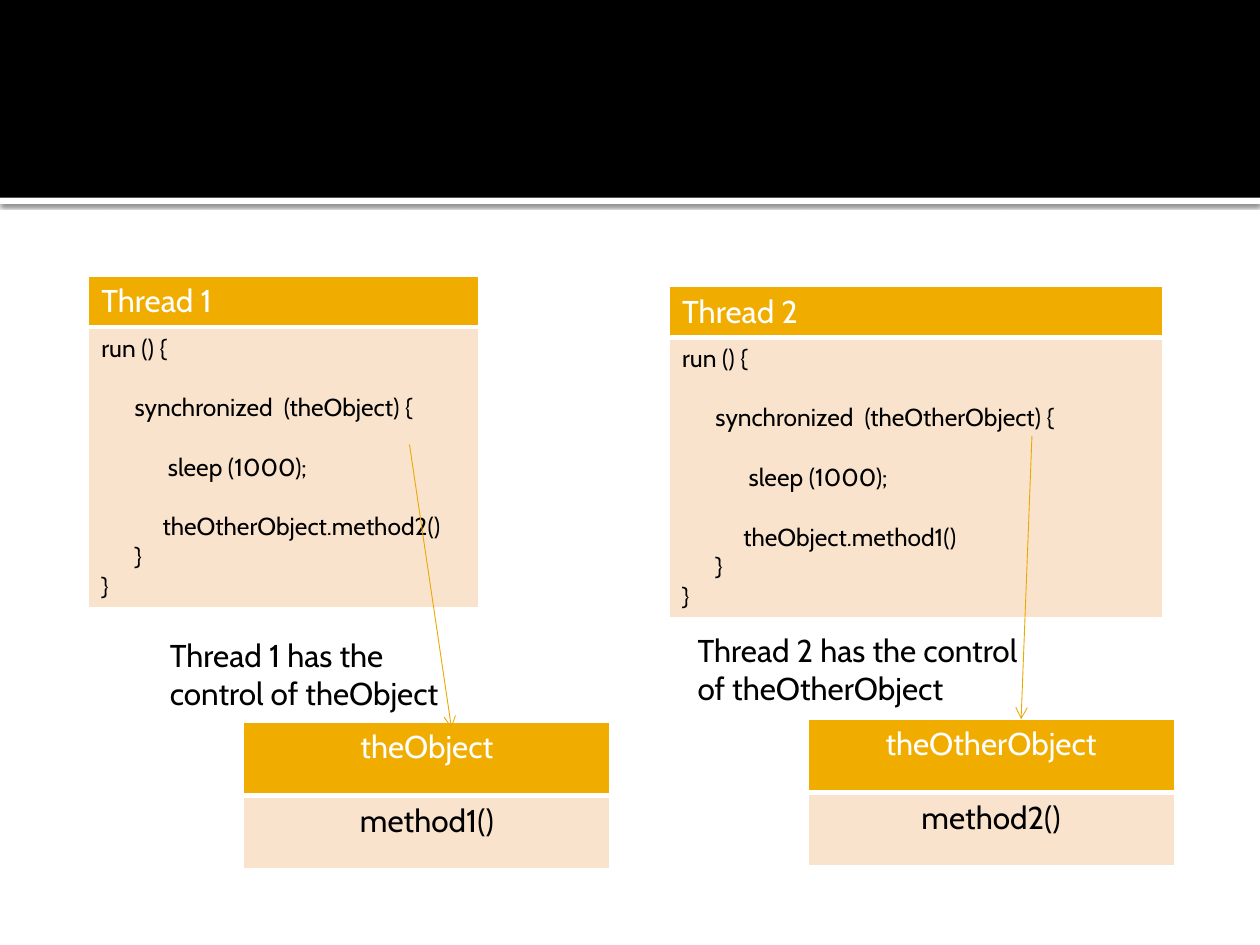
from lxml import etree
from pptx import Presentation
from pptx.dml.color import RGBColor
from pptx.enum import shapes, text
from pptx.oxml import ns
from pptx.util import Pt

BLACK = RGBColor(0x00, 0x00, 0x00)
WHITE = RGBColor(0xFF, 0xFF, 0xFF)
GOLD = RGBColor(0xF0, 0xAD, 0x00)
CREAM = RGBColor(0xF9, 0xE3, 0xCC)
ARROW_GOLD = RGBColor(0xEB, 0xA9, 0x00)
LINE_HEIGHT = 17


def write(paragraph, words, size, color):
    run = paragraph.add_run()
    run.text = words
    formats = {"name": "Cabin", "size": Pt(size)}
    for name, value in formats.items():
        setattr(run.font, name, value)
    run.font.color.rgb = color


def add_box(slide, left, top, width, heights):
    """Add a one-column table with a gold header, a cream body and white borders."""
    table = slide.shapes.add_table(2, 1, Pt(left), Pt(top), Pt(width), Pt(sum(heights))).table
    cells = [table.cell(row, 0) for row in range(2)]
    for row, (cell, color) in enumerate(zip(cells, (GOLD, CREAM))):
        table.rows[row].height = Pt(heights[row])
        properties = cell._tc.get_or_add_tcPr()
        for side in ("lnL", "lnR", "lnT", "lnB"):
            weight = 3 if row == 0 and side == "lnB" else 1
            border = etree.SubElement(properties, ns.qn(f"a:{side}"), w=str(Pt(weight)))
            fill = etree.SubElement(border, ns.qn("a:solidFill"))
            etree.SubElement(fill, ns.qn("a:srgbClr"), val=str(WHITE))
        cell.fill.solid()
        cell.fill.fore_color.rgb = color
    return cells


presentation = Presentation()
presentation.slide_width, presentation.slide_height = Pt(720), Pt(540)
slide = presentation.slides.add_slide(presentation.slide_layouts[6])

# Header band with a shadowed white strip below it
for top, height, color in ((113, 3.6, WHITE), (0, 113, BLACK)):
    band = slide.shapes.add_shape(shapes.MSO_SHAPE.RECTANGLE, 0, Pt(top), Pt(720), Pt(height))
    band.shadow.inherit = False
    band.fill.solid()
    band.fill.fore_color.rgb = color
    band.line.fill.background()
    if color == WHITE:
        effects = band._element.spPr.find(ns.qn("a:effectLst"))
        shadow = etree.SubElement(effects, ns.qn("a:outerShdw"), blurRad=str(Pt(2.5)),
                                  dist=str(Pt(0.8)), dir="5400000", rotWithShape="0")
        shade = etree.SubElement(shadow, ns.qn("a:srgbClr"), val=str(BLACK))
        etree.SubElement(shade, ns.qn("a:alpha"), val="60000")

# Thread tables: code lines as (words, indent, lines of space before)
threads = (
    ("Thread 1", "theObject", "theOtherObject.method2()", 50.7, 157.7, 222.8),
    ("Thread 2", "theOtherObject", "theObject.method1()", 382.6, 163.6, 281.8),
)
for title, locked, call, left, top, width in threads:
    header, body = add_box(slide, left, top, width, (29, 160.4))
    write(header.text_frame.paragraphs[0], title, 18, WHITE)
    code = (
        ("run () {", 0, 0),
        (f"synchronized  ({locked}) {{", 19, 1),
        ("sleep (1000);", 38, 1),
        (call, 35, 1),
        ("}", 19, 0),
        ("}", 0, 0),
    )
    for index, (words, indent, gap) in enumerate(code):
        frame = body.text_frame
        paragraph = frame.add_paragraph() if index else frame.paragraphs[0]
        paragraph.space_before = Pt(gap * LINE_HEIGHT)
        paragraph._p.get_or_add_pPr().set("marL", str(Pt(indent)))
        write(paragraph, words, 14, BLACK)

# Object tables
for name, method, left, top in (("theObject", "method1()", 139.2, 412.6),
                                ("theOtherObject", "method2()", 461.6, 410.8)):
    cells = add_box(slide, left, top, 209.5, (42, 42))
    for cell, words, color in zip(cells, (name, method), (WHITE, BLACK)):
        paragraph = cell.text_frame.paragraphs[0]
        paragraph.alignment = text.PP_ALIGN.CENTER
        write(paragraph, words, 18, color)

# Arrows from each lock to the object it holds
for points in ((234, 254, 258, 416), (589.7, 249, 583.5, 411)):
    arrow = slide.shapes.add_connector(shapes.MSO_CONNECTOR.STRAIGHT, *map(Pt, points))
    arrow.line.color.rgb = ARROW_GOLD
    arrow.line.width = Pt(0.5)
    etree.SubElement(arrow.line._get_or_add_ln(), ns.qn("a:tailEnd"), type="arrow")
    etree.SubElement(arrow._element.spPr, ns.qn("a:effectLst"))

# Captions
for words, left, top, width in (
    ("Thread 1 has the control of theObject", 90, 360, 174),
    ("Thread 2 has the control of theOtherObject", 391.5, 357, 198),
):
    caption = slide.shapes.add_textbox(Pt(left), Pt(top), Pt(width), Pt(51))
    formats = {"word_wrap": True, "auto_size": text.MSO_AUTO_SIZE.SHAPE_TO_FIT_TEXT}
    for name, value in formats.items():
        setattr(caption.text_frame, name, value)
    write(caption.text_frame.paragraphs[0], words, 18, BLACK)

presentation.save("out.pptx")
